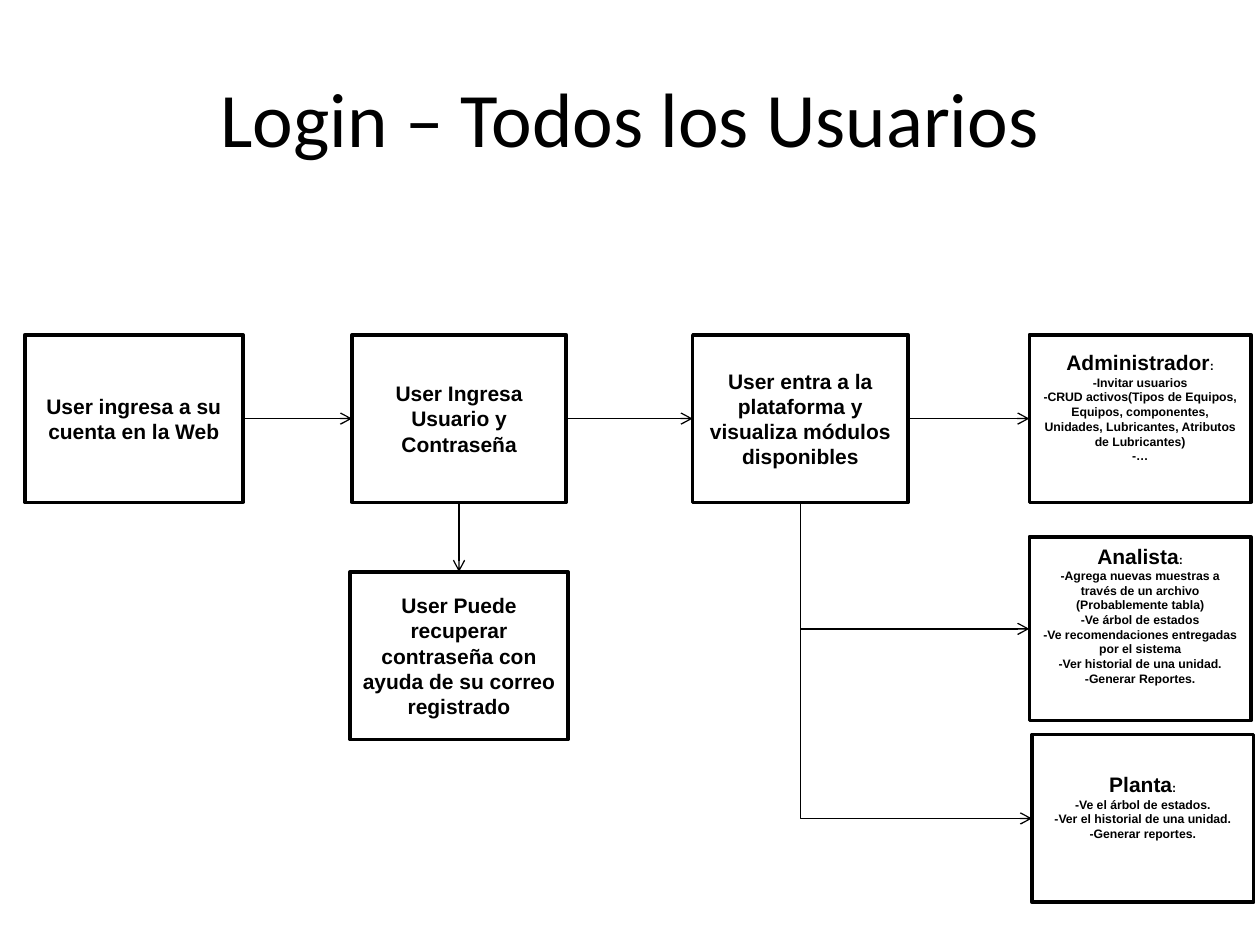
from lxml import etree
from pptx import Presentation
from pptx.dml.color import RGBColor
from pptx.enum.shapes import MSO_CONNECTOR, MSO_SHAPE
from pptx.enum.text import MSO_ANCHOR, PP_ALIGN
from pptx.oxml.ns import qn
from pptx.util import Pt

BLACK = RGBColor(0, 0, 0)
WHITE = RGBColor(255, 255, 255)
RECTANGLE = MSO_SHAPE.RECTANGLE
STRAIGHT, ELBOW = MSO_CONNECTOR.STRAIGHT, MSO_CONNECTOR.ELBOW
TOP, MIDDLE = MSO_ANCHOR.TOP, MSO_ANCHOR.MIDDLE
CENTER = PP_ALIGN.CENTER

TITLE = "Login – Todos los Usuarios"
ROW_TOP, BOX_HEIGHT = 191.3, 95.8
ROLE_LEFT, ROLE_WIDTH = 588.2, 126.7
INSET, LOW_INSET = 3.6, 17.4

STEPS = {
    "access": ("User ingresa a su cuenta en la Web", 14.2, ROW_TOP, 124.6),
    "login": ("User Ingresa Usuario y Contraseña", 201.2, ROW_TOP, 122.4),
    "platform": ("User entra a la plataforma y visualiza módulos disponibles",
                 395.8, ROW_TOP, 123.1),
    "recovery": ("User Puede recuperar contraseña con ayuda de su correo registrado",
                 200, 326.8, 124.6),
}
ROLES = {
    "admin": ("Administrador", [
        "-Invitar usuarios",
        "-CRUD activos(Tipos de Equipos, Equipos, componentes, Unidades, "
        "Lubricantes, Atributos de Lubricantes)",
        "-…",
    ], ROLE_LEFT, ROW_TOP, BOX_HEIGHT, MIDDLE, LOW_INSET),
    "analyst": ("Analista", [
        "-Agrega nuevas muestras a través de un archivo (Probablemente tabla)",
        "-Ve árbol de estados",
        "-Ve recomendaciones entregadas por el sistema",
        "-Ver historial de una unidad.",
        "-Generar Reportes.",
    ], ROLE_LEFT, 306.8, 105.1, TOP, INSET),
    "plant": ("Planta", [
        "-Ve el árbol de estados.",
        "-Ver el historial de una unidad.",
        "-Generar reportes.",
    ], 589.7, 419.8, BOX_HEIGHT, MIDDLE, LOW_INSET),
}
ACROSS = [("access", "login"), ("login", "platform"), ("platform", "admin")]
DOWN = [("login", "recovery")]
BRANCHES = [("platform", "analyst"), ("platform", "plant")]


def write(para, text, size):
    span = para.add_run()
    span.text = text
    style = {"name": "Arial", "size": Pt(size), "bold": True}
    for key, value in style.items():
        setattr(span.font, key, value)
    span.font.color.rgb = BLACK
    para.alignment = CENTER


def add_box(page, left, top, width, height, anchor=MIDDLE, bottom=INSET):
    box = page.shapes.add_shape(RECTANGLE, Pt(left), Pt(top), Pt(width), Pt(height))
    box.shadow.inherit = False
    box.fill.solid()
    box.fill.fore_color.rgb = WHITE
    box.line.color.rgb = BLACK
    box.line.width = Pt(2)
    frame = {"word_wrap": True, "vertical_anchor": anchor, "margin_bottom": Pt(bottom)}
    for key, value in frame.items():
        setattr(box.text_frame, key, value)
    return box


def add_arrow(page, kind, *ends):
    arrow = page.shapes.add_connector(kind, *(int(end) for end in ends))
    arrow.line.color.rgb = BLACK
    arrow.line.width = Pt(0.75)
    line = arrow.line._get_or_add_ln()
    etree.SubElement(line, qn("a:tailEnd"), type="arrow")
    etree.SubElement(arrow._element.spPr, qn("a:effectLst"))
    return arrow


def center_x(box):
    return box.left + box.width / 2


def center_y(box):
    return box.top + box.height / 2


def add_branch(page, start, end):
    x1, y1 = center_x(start), start.top + start.height
    x2, y2 = end.left, center_y(end)
    middle_x, middle_y = (x1 + x2) / 2, (y1 + y2) / 2
    half_run, half_drop = (x2 - x1) / 2, (y2 - y1) / 2
    arrow = add_arrow(page, ELBOW, middle_x + half_drop, middle_y - half_run,
                      middle_x - half_drop, middle_y + half_run)
    properties = arrow._element.spPr
    properties.find(qn("a:xfrm")).set("rot", "16200000")
    properties.find(qn("a:prstGeom")).set("prst", "bentConnector2")


def main():
    deck = Presentation()
    deck.slide_width, deck.slide_height = Pt(720), Pt(540)
    page = deck.slides.add_slide(deck.slide_layouts[5])

    title = page.shapes.title
    place = {"left": 36, "top": 21.6, "width": 648, "height": 90}
    for key, value in place.items():
        setattr(title, key, Pt(value))
    title.text_frame.text = TITLE
    title.text_frame.vertical_anchor = MIDDLE
    para = title.text_frame.paragraphs[0]
    para.alignment = CENTER
    for key, value in {"name": "Calibri", "size": Pt(44)}.items():
        setattr(para.font, key, value)
    para.font.color.rgb = BLACK

    boxes = {}
    for name, (text, left, top, width) in STEPS.items():
        boxes[name] = add_box(page, left, top, width, BOX_HEIGHT)
        write(boxes[name].text_frame.paragraphs[0], text, 12)
    for name, (role, tasks, left, top, height, anchor, bottom) in ROLES.items():
        boxes[name] = add_box(page, left, top, ROLE_WIDTH, height, anchor, bottom)
        frame = boxes[name].text_frame
        write(frame.paragraphs[0], role, 12)
        write(frame.paragraphs[0], ":", 7)
        for task in tasks:
            write(frame.add_paragraph(), task, 7)

    for first, second in ACROSS:
        start, end = boxes[first], boxes[second]
        add_arrow(page, STRAIGHT, start.left + start.width, center_y(start),
                  end.left, center_y(start))
    for first, second in DOWN:
        start, end = boxes[first], boxes[second]
        add_arrow(page, STRAIGHT, center_x(end), start.top + start.height,
                  center_x(end), end.top)
    for first, second in BRANCHES:
        add_branch(page, boxes[first], boxes[second])

    deck.save("out.pptx")


if __name__ == "__main__":
    main()
